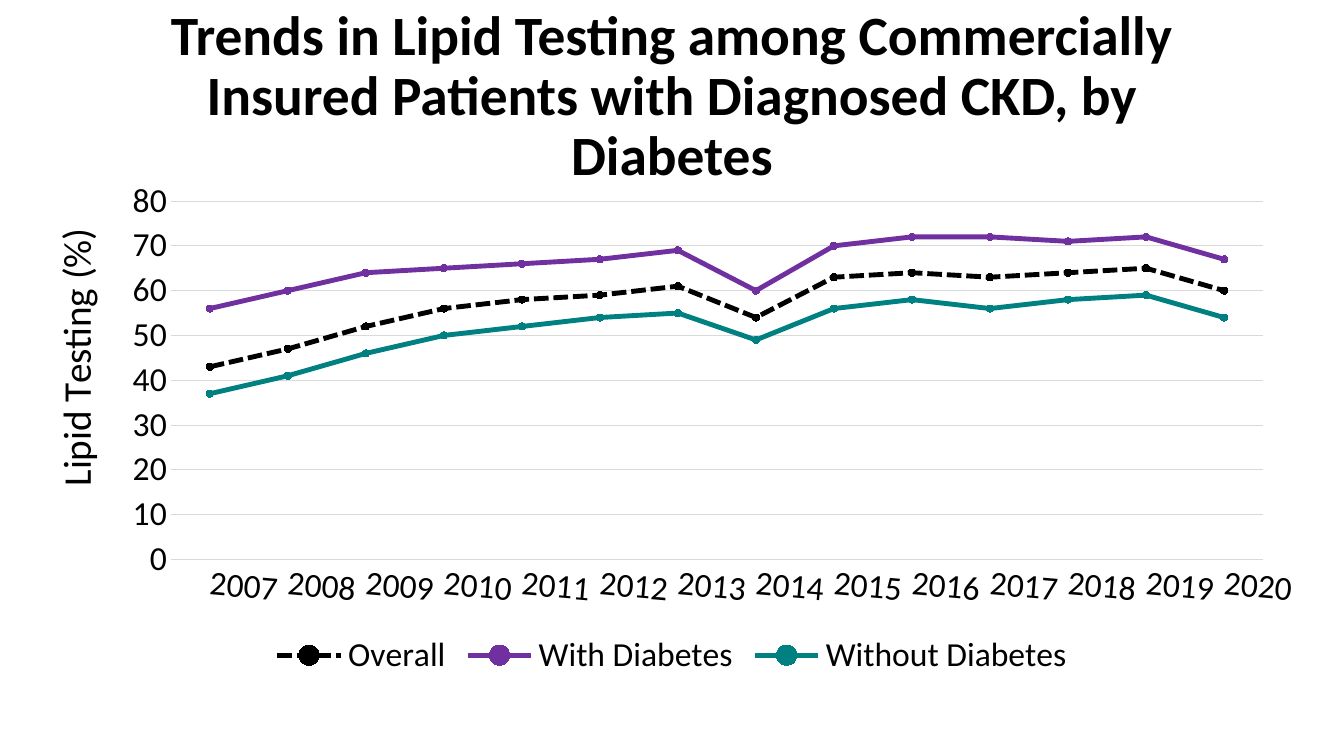
from pptx import Presentation
from pptx import util as u
from pptx.chart import data
from pptx.dml.color import RGBColor
from pptx.enum import chart as ch, dml, text
from pptx.oxml import parse_xml
from pptx.oxml.ns import nsdecls

BLACK = RGBColor(0, 0, 0)
GREY = RGBColor(0xD9, 0xD9, 0xD9)
PURPLE = RGBColor(0x70, 0x30, 0xA0)
TEAL = RGBColor(0, 0x80, 0x80)

YEARS = [str(year) for year in range(2007, 2021)]
GROUPS = [
    ("Overall", BLACK, dml.MSO_LINE.SQUARE_DOT,
     (43, 47, 52, 56, 58, 59, 61, 54, 63, 64, 63, 64, 65, 60)),
    ("With Diabetes", PURPLE, None,
     (56, 60, 64, 65, 66, 67, 69, 60, 70, 72, 72, 71, 72, 67)),
    ("Without Diabetes", TEAL, None,
     (37, 41, 46, 50, 52, 54, 55, 49, 56, 58, 56, 58, 59, 54)),
]


def layout(inner=False, **parts):
    target = '<c:layoutTarget val="inner"/>' if inner else ""
    modes = "".join(f'<c:{k}Mode val="edge"/>' for k in "xy")
    sizes = "".join(f'<c:{k} val="{v}"/>' for k, v in parts.items())
    return parse_xml(f'<c:layout {nsdecls("c")}><c:manualLayout>{target}{modes}{sizes}'
                     '</c:manualLayout></c:layout>')


class Deck:
    face = "Calibri"

    def __init__(self, wide, high):
        self.show = Presentation()
        self.show.slide_width, self.show.slide_height = u.Pt(wide), u.Pt(high)
        self.slide = self.show.slides.add_slide(self.show.slide_layouts[5])

    def style(self, font, size, bold=False):
        font.name, font.size, font.bold = self.face, u.Pt(size), bold
        font.color.rgb = BLACK

    def title(self, words, left, top, wide, high):
        box = self.slide.shapes.title
        box.left, box.top, box.width, box.height = map(u.Pt, (left, top, wide, high))
        frame = box.text_frame
        frame.text = words
        frame.word_wrap = True
        frame.auto_size = text.MSO_AUTO_SIZE.NONE
        frame.vertical_anchor = text.MSO_ANCHOR.MIDDLE
        para = frame.paragraphs[0]
        para.alignment = text.PP_ALIGN.CENTER
        para.line_spacing = 0.9
        self.style(para.font, 39.6, True)

    def chart(self, cats, groups, label, left, top, wide, high):
        table = data.CategoryChartData(number_format="0")
        table.categories = cats
        for name, _, _, vals in groups:
            table.add_series(name, vals)
        chart = self.slide.shapes.add_chart(
            ch.XL_CHART_TYPE.LINE_MARKERS, *map(u.Pt, (left, top, wide, high)), table).chart
        self.style(chart.font, 10)
        chart.has_title = False
        chart.has_legend = True
        chart.legend.position = ch.XL_LEGEND_POSITION.BOTTOM
        chart.legend.include_in_layout = False
        self.style(chart.legend.font, 24)
        plot = chart.plots[0]
        plot.vary_by_categories = False
        for line, (_, color, dash, _) in zip(plot.series, groups):
            self.line(line, color, dash)
        self.axes(chart, label)
        area = chart._chartSpace.chart.plotArea
        for old in area.findall("{*}layout"):
            area.remove(old)
        area.insert(0, layout(True, x=0.11, y=0.06, w=0.85, h=0.7))

    def line(self, line, color, dash):
        line.smooth = False
        pen = line.format.line
        pen.width = u.Pt(3.5)
        pen.color.rgb = color
        if dash:
            pen.dash_style = dash
        mark = line.marker
        mark.style, mark.size = ch.XL_MARKER_STYLE.CIRCLE, 5
        mark.format.fill.solid()
        mark.format.fill.fore_color.rgb = color
        mark.format.line.color.rgb = color

    def axes(self, chart, label):
        base, side = chart.category_axis, chart.value_axis
        for axis in (base, side):
            axis.major_tick_mark = axis.minor_tick_mark = ch.XL_TICK_MARK.NONE
            self.style(axis.tick_labels.font, 24)
        base.format.line.color.rgb = GREY
        base.format.line.width = u.Pt(0.75)
        base._element.txPr.bodyPr.set("rot", "300000")
        side.minimum_scale, side.maximum_scale, side.major_unit = 0, 80, 10
        side.format.line.fill.background()
        side.tick_labels.number_format = "0"
        side.tick_labels.number_format_is_linked = False
        grid = side.major_gridlines.format.line
        grid.color.rgb, grid.width = GREY, u.Pt(0.75)
        head = side.axis_title
        frame = head.text_frame
        frame.text = label
        self.style(frame.paragraphs[0].font, 28)
        frame._txBody.bodyPr.set("rot", "-5400000")
        for old in head._element.findall("{*}layout"):
            head._element.remove(old)
        head._element.find("{*}tx").addnext(layout(x=0.01, y=0.1))


def main():
    deck = Deck(960, 540)
    deck.title("Trends in Lipid Testing among Commercially Insured Patients "
               "with Diagnosed CKD, by Diabetes", 66, 17.3, 828, 104.4)
    deck.chart(YEARS, GROUPS, "Lipid Testing (%)", 21, 121.7, 918, 365.8)
    deck.show.save("out.pptx")


if __name__ == "__main__":
    main()
